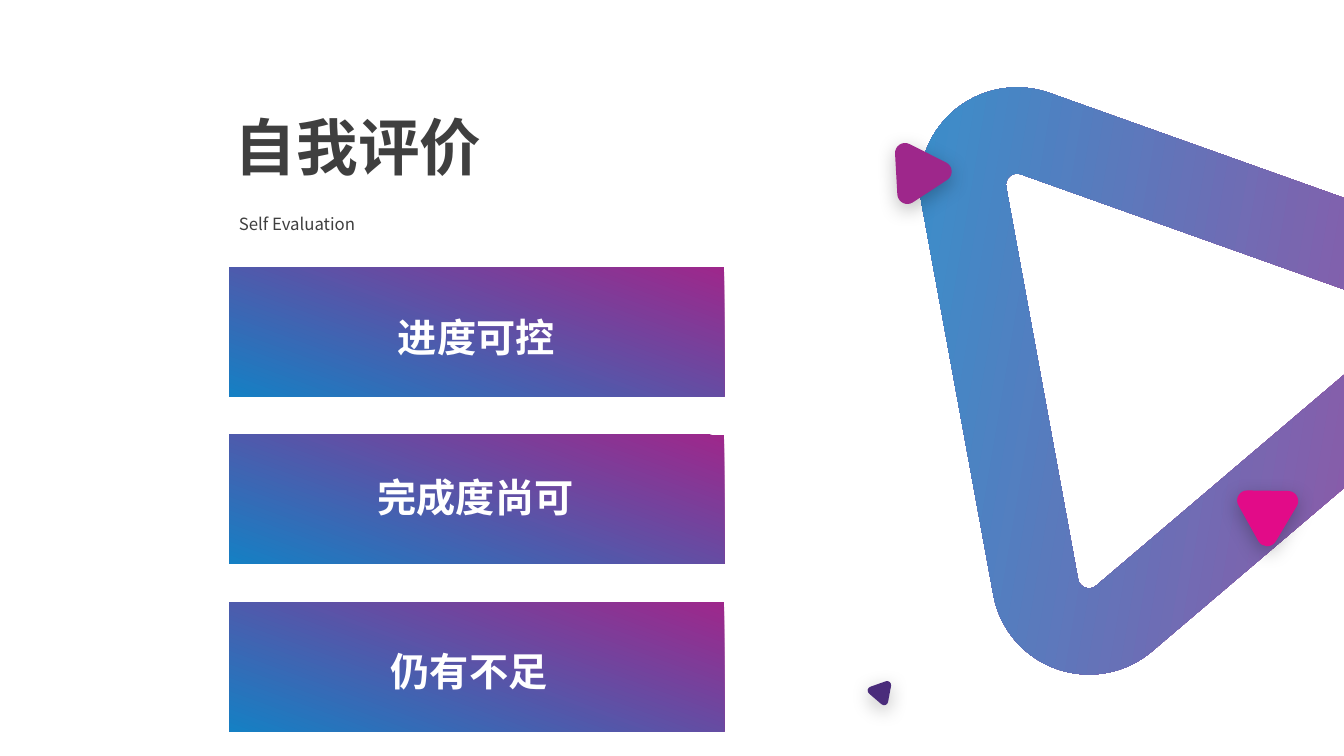
from math import cos, radians, sin, sqrt, tan

from lxml import etree
from pptx import Presentation
from pptx.dml.color import RGBColor
from pptx.enum.shapes import MSO_SHAPE
from pptx.enum.text import MSO_ANCHOR, MSO_AUTO_SIZE
from pptx.oxml.ns import qn
from pptx.util import Cm, Pt

RECTANGLE = MSO_SHAPE.RECTANGLE
MIDDLE = MSO_ANCHOR.MIDDLE
GROW = MSO_AUTO_SIZE.SHAPE_TO_FIT_TEXT

FONT = "Noto Sans CJK SC"
DARK_GREY, WHITE = "3F3F3F", "FFFFFF"
PURPLE, BLUE, PINK, VIOLET = "9E278B", "1580C4", "E20B88", "4A2C7B"
CORNER_RATIO = 0.18  # corner radius relative to triangle height
ARC_HANDLE = 4 / 3 * tan(radians(15))  # curve handle for a 60 degree arc

# Label, then its offset from the left and top of its bar, in cm
RATINGS = [
    ("进度可控", 4, 0.44),
    ("完成度尚可", 3.49, 0.24),
    ("仍有不足", 3.82, 0.42),
]
# Left, top, width, height in cm, rotation, colour
SMALL_TRIANGLES = [
    (21.92, 17.12, 0.64, 0.56, 40.5, VIOLET),
    (31.04, 12.14, 1.55, 1.4, 300.8, PINK),
    (22.28, 3.53, 1.55, 1.4, 326.8, PURPLE),
]


def color(hex_string):
    return RGBColor.from_string(hex_string)


def fill_gradient(shape, opacity=100):
    shape.fill.gradient()
    shape.fill.gradient_angle = 250
    for stop, stop_color in zip(shape.fill.gradient_stops, (PURPLE, BLUE)):
        stop.color.rgb = color(stop_color)
    if opacity < 100:
        for element in shape._element.spPr.iter(qn("a:srgbClr")):
            etree.SubElement(element, qn("a:alpha"), val=str(opacity * 1000))


def add_soft_shadow(shape):
    effects = shape._element.spPr.find(qn("a:effectLst"))
    shadow = etree.SubElement(
        effects, qn("a:outerShdw"), blurRad=str(Pt(14)), dist=str(Pt(4)),
        dir="5400000", algn="t", rotWithShape="0")
    black = etree.SubElement(shadow, qn("a:srgbClr"), val="000000")
    etree.SubElement(black, qn("a:alpha"), val="25000")


def add_text(slide, text, left, top, width, height, size, text_color,
             bold=False, line_spacing=1.5):
    box = slide.shapes.add_textbox(Cm(left), Cm(top), Cm(width), Cm(height))
    frame = box.text_frame
    frame.word_wrap = True
    frame.text = text
    paragraph = frame.paragraphs[0]
    paragraph.line_spacing = line_spacing
    run = paragraph.runs[0]
    run.font.name = FONT
    run.font.size = Pt(size)
    run.font.bold = bold
    run.font.color.rgb = color(text_color)
    etree.SubElement(run._r.get_or_add_rPr(), qn("a:ea"), typeface=FONT)
    return frame


def add_path_step(path, tag, *points):
    step = etree.SubElement(path, qn(tag))
    for x, y in points:
        etree.SubElement(step, qn("a:pt"), x=str(round(x)), y=str(round(y)))


def draw_rounded_triangle(path, centers, radius, direction=1):
    """Two 60 degree curves around each corner, joined by straight sides."""
    corners = list(zip(centers, (-90, 30, 150)))[::direction]
    tag = "a:moveTo"
    for (x, y), middle in corners:
        def arc_point(angle, handle=0):
            turn_x, turn_y = cos(radians(angle)), sin(radians(angle))
            return (x + radius * (turn_x - handle * turn_y),
                    y + radius * (turn_y + handle * turn_x))

        step, handle = 60 * direction, ARC_HANDLE * direction
        start = middle - step
        add_path_step(path, tag, arc_point(start))
        for angle in (start, middle):
            add_path_step(path, "a:cubicBezTo", arc_point(angle, handle),
                          arc_point(angle + step, -handle),
                          arc_point(angle + step))
        tag = "a:lnTo"
    add_path_step(path, "a:close")


def add_triangle(slide, left, top, width, height, rotation, hole_radius=None):
    """Upright rounded triangle in its box, then rotated, optionally hollow."""
    width, height = Cm(width), Cm(height)
    radius = CORNER_RATIO * height
    half_side = (height - 2 * radius) / sqrt(3)
    middle, base = width / 2, height - radius
    centers = [(middle, radius), (middle + half_side, base),
               (middle - half_side, base)]
    builder = slide.shapes.build_freeform(*map(round, centers[0]), scale=1.0)
    builder.add_line_segments(
        [(round(x), round(y)) for x, y in centers[1:]], close=True)
    shape = builder.convert_to_shape()
    shape.left, shape.top = Cm(left), Cm(top)
    shape.width, shape.height = width, height

    path = next(shape._element.spPr.iter(qn("a:path")))
    for step in list(path):
        path.remove(step)
    path.set("w", str(width))
    path.set("h", str(height))
    draw_rounded_triangle(path, centers, radius)
    if hole_radius:
        draw_rounded_triangle(path, centers, Cm(hole_radius), direction=-1)

    shape.rotation = rotation
    shape.shadow.inherit = False
    shape.line.fill.background()
    return shape


def add_triangle_artwork(slide):
    ring = add_triangle(slide, 23.29, 2.01, 15.06, 13.61, 79.6,
                        hole_radius=0.28)
    fill_gradient(ring, opacity=85)
    for *placement, fill_color in SMALL_TRIANGLES:
        triangle = add_triangle(slide, *placement)
        triangle.fill.solid()
        triangle.fill.fore_color.rgb = color(fill_color)
        add_soft_shadow(triangle)


def add_heading(slide, left, top):
    subtitle = add_text(slide, "Self Evaluation", left + 0.1, top + 2.23,
                        15.42, 0.94, 12, DARK_GREY)
    subtitle.auto_size = GROW
    title = add_text(slide, "自我评价", left, top, 13.13, 2.06, 44, DARK_GREY,
                     bold=True, line_spacing=0.9)
    title.vertical_anchor = MIDDLE


def add_ratings(slide, left, top, width, height, pitch):
    for row, (label, label_left, label_top) in enumerate(RATINGS):
        bar_top = top + row * pitch
        bar = slide.shapes.add_shape(
            RECTANGLE, Cm(left), Cm(bar_top), Cm(width), Cm(height))
        bar.shadow.inherit = False
        bar.line.fill.background()
        fill_gradient(bar)
        frame = add_text(slide, label, left + label_left, bar_top + label_top,
                         8.66, 1.83, 28, WHITE, bold=True)
        frame.auto_size = GROW


def main():
    presentation = Presentation()
    presentation.slide_width = Cm(33.87)
    presentation.slide_height = Cm(19.05)
    slide = presentation.slides.add_slide(presentation.slide_layouts[6])
    add_triangle_artwork(slide)
    add_heading(slide, 5.67, 2.77)
    add_ratings(slide, 5.78, 6.74, 12.47, 3.25, 4.22)
    presentation.save("out.pptx")


if __name__ == "__main__":
    main()
